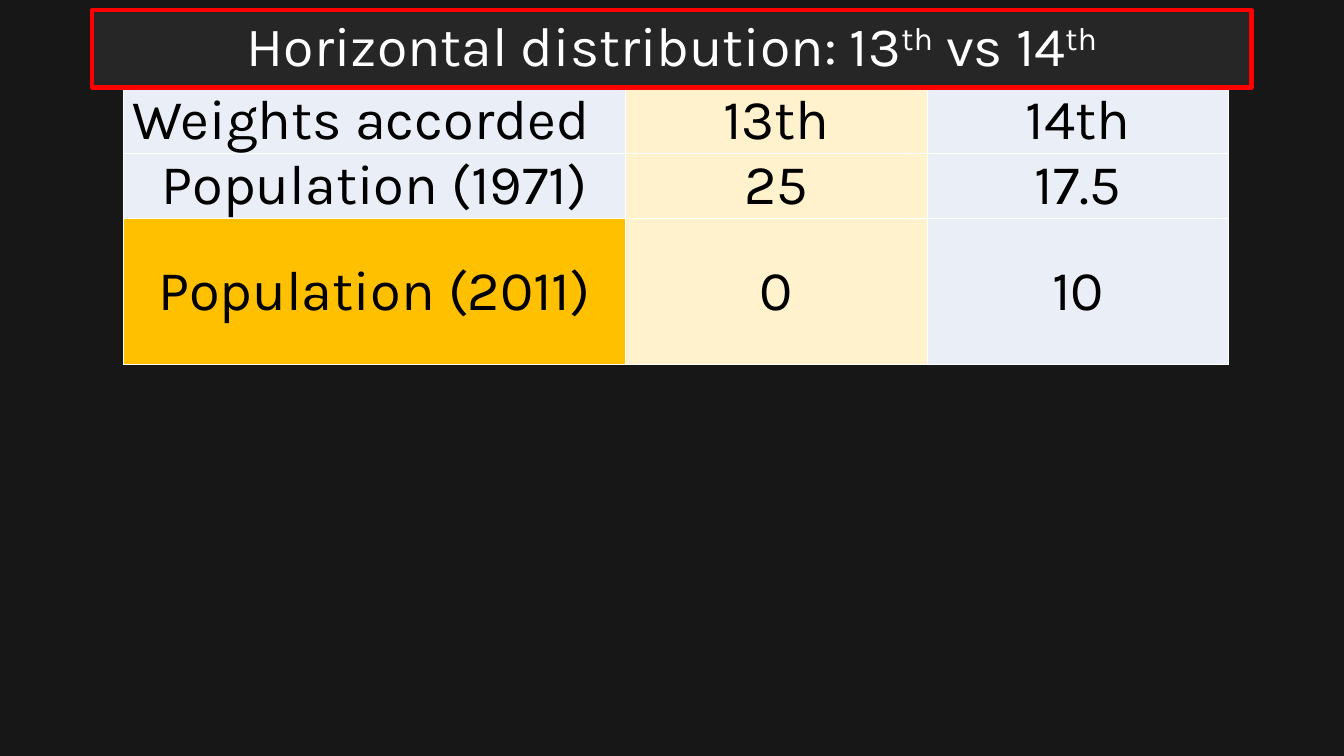
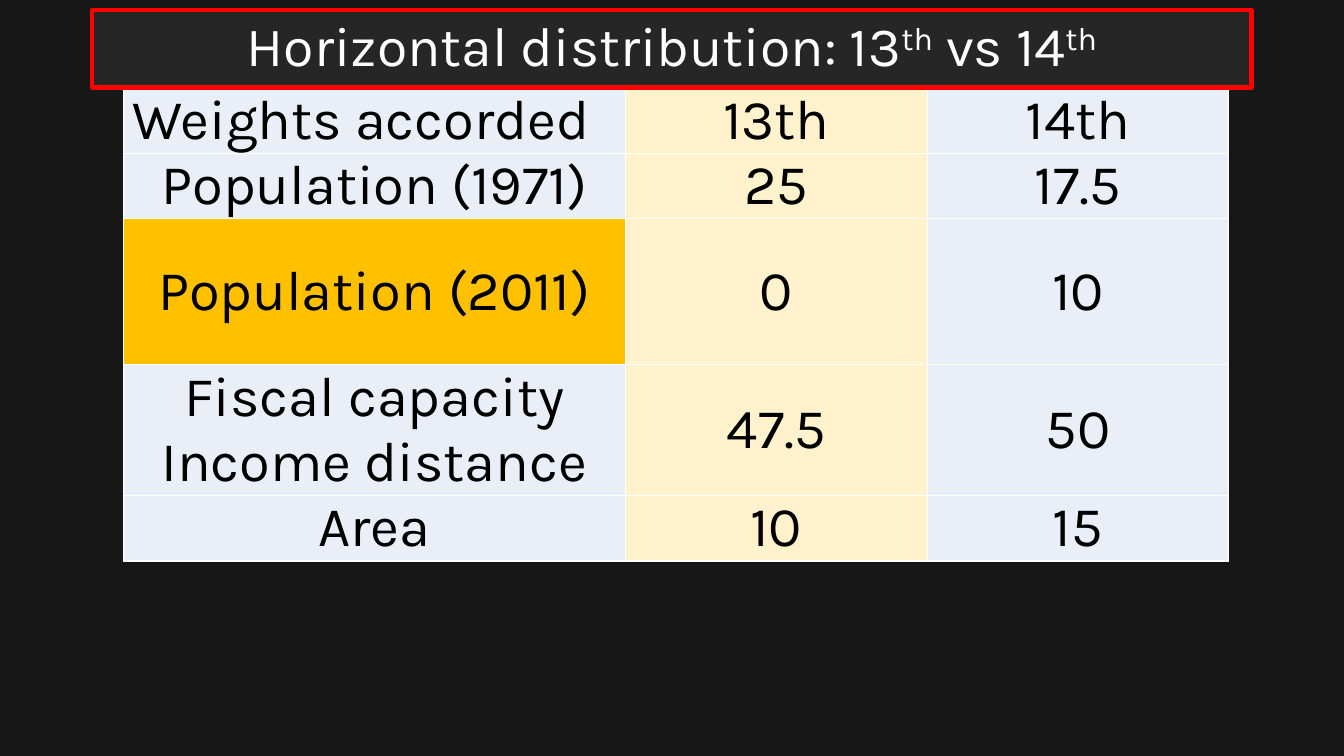
"""Build two slides that compare 13th and 14th distribution weights."""
from lxml import etree
from pptx import Presentation
from pptx.dml.color import RGBColor
from pptx.enum import shapes, text
from pptx.oxml import ns
from pptx.util import Pt

BLACK = RGBColor(0x00, 0x00, 0x00)
WHITE = RGBColor(0xFF, 0xFF, 0xFF)
NIGHT = RGBColor(0x18, 0x17, 0x17)
COAL = RGBColor(0x26, 0x26, 0x26)
RED = RGBColor(0xFF, 0x00, 0x00)
PALE = RGBColor(0xEA, 0xEF, 0xF7)
CREAM = RGBColor(0xFF, 0xF2, 0xCC)
GOLD = RGBColor(0xFF, 0xC0, 0x00)
FONT = "Karla"
TITLE = [("Horizontal distribution: 13", False), ("th", True), (" vs 14", False), ("th", True)]
WIDTHS = [358.8, 215.5, 215.5]
TINTS = [PALE, CREAM, PALE]
ROWS = [
    (38.2, "Weights accorded", "13th", "14th"),
    (38.2, "Population (1971)", "25", "17.5"),
    (104.4, "Population (2011)", "0", "10"),
    (69.8, "Fiscal capacity\nIncome distance", "47.5", "50"),
    (38.2, "Area", "10", "15"),
]


def style(para, size, color):
    para.alignment = text.PP_ALIGN.CENTER
    para.font.name = FONT
    para.font.size = Pt(size)
    para.font.color.rgb = color


def edge(cell):
    props = cell._tc.get_or_add_tcPr()
    for side in ("lnL", "lnR", "lnT", "lnB"):
        line = etree.SubElement(props, ns.qn("a:" + side), w=str(Pt(1)))
        fill = etree.SubElement(line, ns.qn("a:solidFill"))
        etree.SubElement(fill, ns.qn("a:srgbClr"), val=str(WHITE))


deck = Presentation()
deck.slide_width, deck.slide_height = Pt(960), Pt(540)

for count in (3, 5):
    slide = deck.slides.add_slide(deck.slide_layouts[6])
    slide.background.fill.solid()
    slide.background.fill.fore_color.rgb = NIGHT

    rows = ROWS[:count]
    high = sum(row[0] for row in rows)
    table = slide.shapes.add_table(
        count, len(WIDTHS), Pt(88), Pt(62.8), Pt(sum(WIDTHS)), Pt(high)).table
    table.first_row = table.horz_banding = False
    for col, width in zip(table.columns, WIDTHS):
        col.width = Pt(width)
    for r, (height, *words) in enumerate(rows):
        table.rows[r].height = Pt(height)
        for c, word in enumerate(words):
            cell = table.cell(r, c)
            cell.margin_left = cell.margin_right = cell.margin_top = cell.margin_bottom = 0
            cell.vertical_anchor = text.MSO_ANCHOR.MIDDLE
            edge(cell)
            cell.fill.solid()
            cell.fill.fore_color.rgb = GOLD if (r, c) == (2, 0) else TINTS[c]
            cell.text = word
            for para in cell.text_frame.paragraphs:
                style(para, 40, BLACK)
    table.cell(0, 0).margin_right = Pt(19)

    title = slide.shapes.add_shape(
        shapes.MSO_SHAPE.ROUNDED_RECTANGLE, Pt(66), Pt(7.2), Pt(828), Pt(55.4))
    title.adjustments[0] = 0
    title.shadow.inherit = False
    title.fill.solid()
    title.fill.fore_color.rgb = COAL
    title.line.color.rgb = RED
    title.line.width = Pt(3)
    title.text_frame.word_wrap = True
    title.text_frame.vertical_anchor = text.MSO_ANCHOR.MIDDLE
    para = title.text_frame.paragraphs[0]
    para.line_spacing = 0.9
    style(para, 39.6, WHITE)
    for word, raised in TITLE:
        run = para.add_run()
        run.text = word
        if raised:
            run._r.get_or_add_rPr().set("baseline", "30000")

deck.save("out.pptx")
